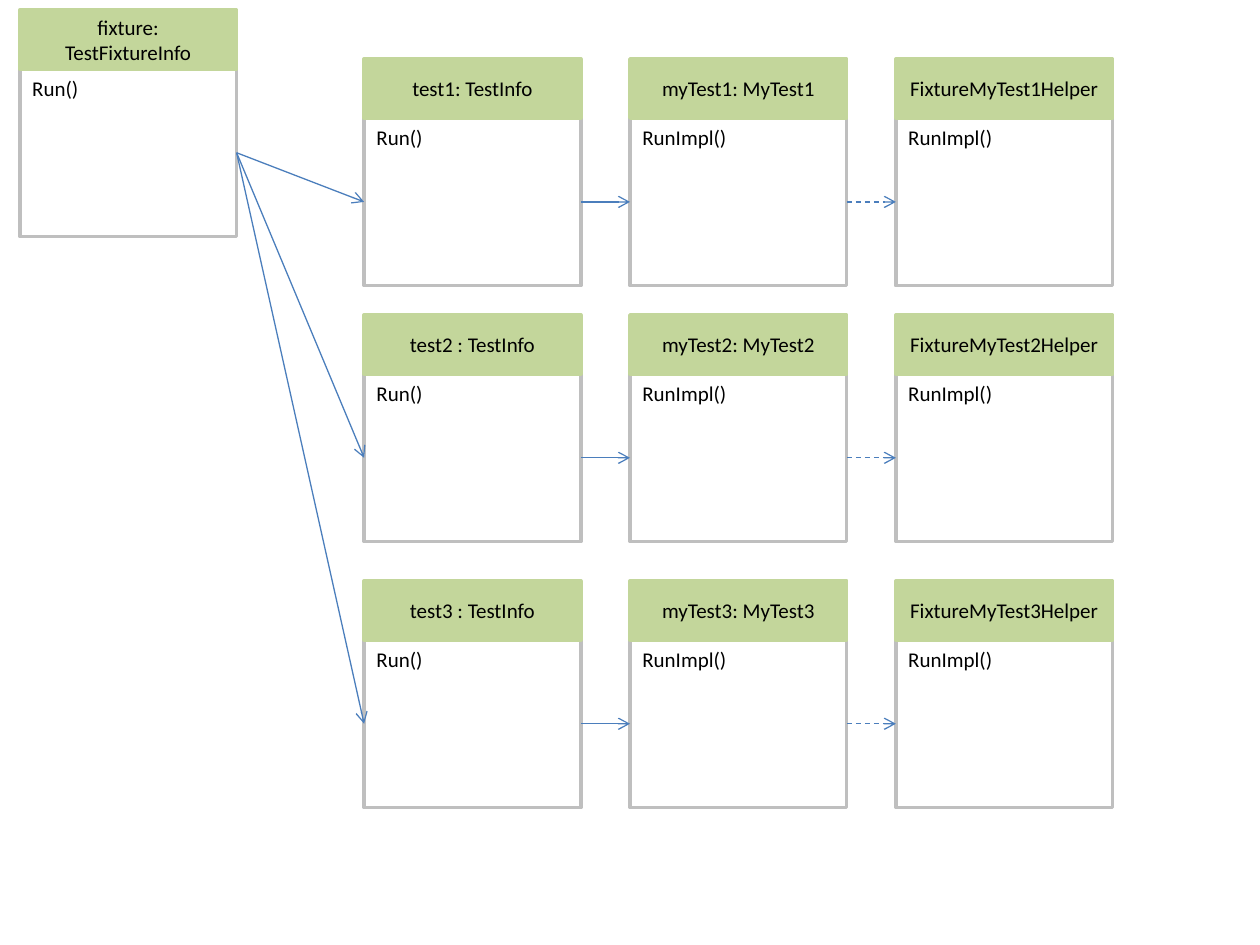
from lxml.etree import SubElement
from pptx import Presentation
from pptx.dml.color import RGBColor
from pptx.enum.dml import MSO_LINE
from pptx.enum.shapes import MSO_CONNECTOR, MSO_SHAPE
from pptx.enum.text import MSO_ANCHOR, PP_ALIGN
from pptx.oxml.ns import qn
from pptx.util import Cm, Pt

COLOURS = {"header": "C3D69B", "border": "BFBFBF", "arrow": "4B7EBC", "text": "000000"}
FONT, FONT_SIZE = "Calibri", 12

# Lengths in centimetres
BOX_WIDTH, HEADER_HEIGHT, BODY_HEIGHT = 4.37, 1.19, 3.38
FIRST_COLUMN, COLUMN_STEP = 7.34, 5.36
ROW_TOPS = [1.19, 6.35, 11.71]
LEFT_SIDE, RIGHT_SIDE = 1, 3  # connection sites of a rectangle


def colour(name):
    return RGBColor.from_string(COLOURS[name])


class ObjectDiagram:
    def __init__(self, slide):
        self.slide = slide

    def rectangle(self, left, top, height, text, line, fill=None):
        shape = self.slide.shapes.add_shape(
            MSO_SHAPE.RECTANGLE, Cm(left), Cm(top), Cm(BOX_WIDTH), Cm(height))
        shape.shadow.inherit = False
        if fill:
            shape.fill.solid()
            shape.fill.fore_color.rgb = colour(fill)
        else:
            shape.fill.background()
        shape.line.color.rgb = colour(line)
        shape.line.width = Pt(2)
        frame = shape.text_frame
        frame.word_wrap = True
        frame.text = text
        frame.vertical_anchor = MSO_ANCHOR.MIDDLE if fill else MSO_ANCHOR.TOP
        paragraph = frame.paragraphs[0]
        paragraph.alignment = PP_ALIGN.CENTER if fill else PP_ALIGN.LEFT
        font = paragraph.runs[0].font
        font.name, font.size = FONT, Pt(FONT_SIZE)
        font.color.rgb = colour("text")
        return shape

    def object_box(self, left, top, name, method):
        """Draw a header over a body and return the body."""
        body = self.rectangle(left, top + HEADER_HEIGHT, BODY_HEIGHT, method, "border")
        self.rectangle(left, top, HEADER_HEIGHT, name, "header", fill="header")
        return body

    def arrow(self, source, target, dashed=False):
        connector = self.slide.shapes.add_connector(MSO_CONNECTOR.STRAIGHT, 0, 0, 0, 0)
        connector.begin_connect(source, RIGHT_SIDE)
        connector.end_connect(target, LEFT_SIDE)
        connector.line.color.rgb = colour("arrow")
        connector.line.width = Pt(0.75)
        if dashed:
            connector.line.dash_style = MSO_LINE.DASH
        properties = connector._element.spPr
        SubElement(properties.find(qn("a:ln")), qn("a:tailEnd"), type="arrow")
        SubElement(properties, qn("a:effectLst"))


def main():
    presentation = Presentation()
    presentation.slide_width, presentation.slide_height = Cm(25.4), Cm(19.05)
    slide = presentation.slides.add_slide(presentation.slide_layouts[6])
    diagram = ObjectDiagram(slide)

    # Fixture that runs every test
    fixture = diagram.object_box(0.4, 0.2, "fixture: TestFixtureInfo", "Run()")

    # One row per test: info, test, helper
    info_names = ["test1: TestInfo", "test2 : TestInfo", "test3 : TestInfo"]
    for number, (top, info_name) in enumerate(zip(ROW_TOPS, info_names), start=1):
        row = [
            (info_name, "Run()"),
            (f"myTest{number}: MyTest{number}", "RunImpl()"),
            (f"FixtureMyTest{number}Helper", "RunImpl()"),
        ]
        info, test, helper = [
            diagram.object_box(FIRST_COLUMN + column * COLUMN_STEP, top, name, method)
            for column, (name, method) in enumerate(row)
        ]
        diagram.arrow(fixture, info)
        diagram.arrow(info, test)
        diagram.arrow(test, helper, dashed=True)

    presentation.save("out.pptx")


if __name__ == "__main__":
    main()
